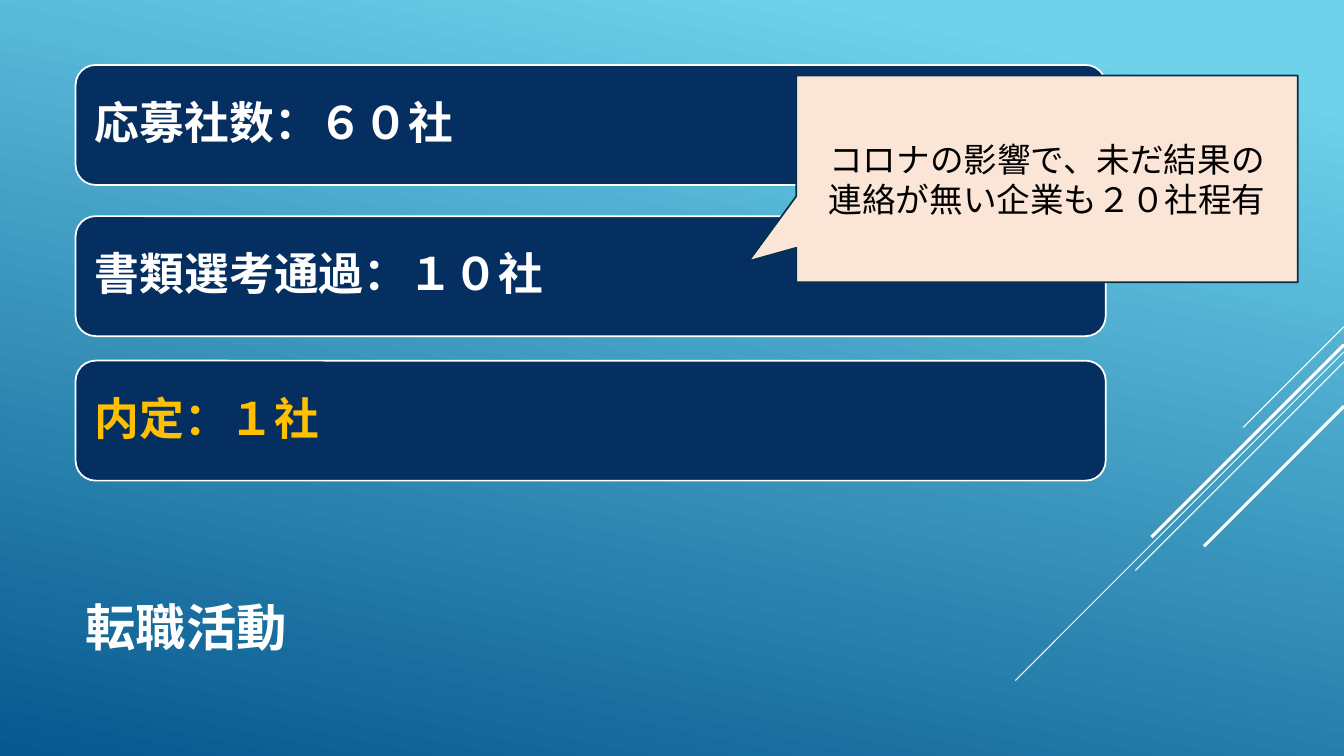
from lxml import etree
from pptx import Presentation
from pptx.dml.color import RGBColor
from pptx.enum.shapes import MSO_CONNECTOR, MSO_SHAPE
from pptx.enum.text import MSO_ANCHOR, PP_ALIGN
from pptx.oxml.ns import qn
from pptx.util import Pt

ROUND = MSO_SHAPE.ROUNDED_RECTANGLE
CALLOUT = MSO_SHAPE.RECTANGULAR_CALLOUT
STRAIGHT = MSO_CONNECTOR.STRAIGHT
MIDDLE, BOTTOM = MSO_ANCHOR.MIDDLE, MSO_ANCHOR.BOTTOM
LEFT, CENTER = PP_ALIGN.LEFT, PP_ALIGN.CENTER
FONT = "TeX Gyre Adventor"
WIDTH, HEIGHT = 960, 540
WHITE, NAVY, GOLD = "FFFFFF", "052F61", "FFC000"


def color(code):
    """Turn a hex string into a colour."""
    return RGBColor.from_string(code)


def write(shape, text, size, ink=WHITE, bold=False, align=LEFT,
          anchor=MIDDLE, inset=7.2, spacing=1.0):
    """Fill a shape with text, one paragraph per line."""
    frame = shape.text_frame
    frame.word_wrap = True
    frame.vertical_anchor = anchor
    frame.margin_left = frame.margin_right = Pt(inset)
    frame.margin_top = frame.margin_bottom = Pt(inset / 2)
    frame.text = text
    for para in frame.paragraphs:
        para.alignment = align
        para.line_spacing = spacing
        font = para.runs[0].font
        font.name, font.size, font.bold = FONT, Pt(size), bold
        font.color.rgb = color(ink)


def block(slide, kind, box, fill, edge):
    """Draw a filled, outlined preset shape."""
    shape = slide.shapes.add_shape(kind, *map(Pt, box))
    shape.shadow.inherit = False
    shape.fill.solid()
    shape.fill.fore_color.rgb = color(fill)
    shape.line.color.rgb = color(edge)
    shape.line.width = Pt(1.25)
    return shape


def backdrop(slide):
    """Paint the background gradient."""
    fill = slide.background.fill
    fill.gradient()
    fill.gradient_angle = 258
    stops = ((0.1, "6ED2EB"), (1, "06588E"))
    for stop, (place, code) in zip(fill.gradient_stops, stops):
        stop.position = place
        stop.color.rgb = color(code)


def streaks(slide, right):
    """Draw diagonal lines down and left from the right edge."""
    rays = ((233.3, 72, 0.75), (251.3, 234.7, 0.75), (258.5, 149, 0.75),
            (246.2, 137.5, 2.25), (290.2, 100, 2.25))
    for top, run, weight in rays:
        ends = right, top, right - run, top + run
        line = slide.shapes.add_connector(STRAIGHT, *map(Pt, ends))
        line.line.color.rgb = color(WHITE)
        line.line.width = Pt(weight)
        etree.SubElement(line._element.spPr, qn("a:effectLst"))


def title(slide, box):
    """Place the slide title at the foot of its box."""
    shape = slide.shapes.add_textbox(*map(Pt, box))
    write(shape, "転職活動", 36, bold=True, anchor=BOTTOM)


def results(slide, box):
    """Stack the result bars in the box."""
    left, top, width, height = box
    rows = ((0, "応募社数：６０社", WHITE), (108, "書類選考通過：１０社", WHITE),
            (211.2, "内定：１社", GOLD))
    for shift, text, ink in rows:
        bar = block(slide, ROUND, (left, top + shift, width, height - 211.2),
                    NAVY, WHITE)
        write(bar, text, 32, ink, bold=True, inset=9.6, spacing=0.9)


def remark(slide, box):
    """Place the speech callout in the box."""
    shape = block(slide, CALLOUT, box, "FAE5D7", "043148")
    shape.adjustments[0], shape.adjustments[1] = -0.595, 0.398
    write(shape, "コロナの影響で、未だ結果の\n連絡が無い企業も２０社程有", 24,
          "000000", align=CENTER)


def main():
    """Build and save the slide."""
    deck = Presentation()
    deck.slide_width, deck.slide_height = Pt(WIDTH), Pt(HEIGHT)
    slide = deck.slides.add_slide(deck.slide_layouts[6])
    backdrop(slide)
    streaks(slide, WIDTH)
    title(slide, (54, 353.5, 672, 118.8))
    results(slide, (54, 46.4, 735.8, 296.9))
    remark(slide, (568.8, 54, 358.2, 147.6))
    deck.save("out.pptx")


if __name__ == "__main__":
    main()
